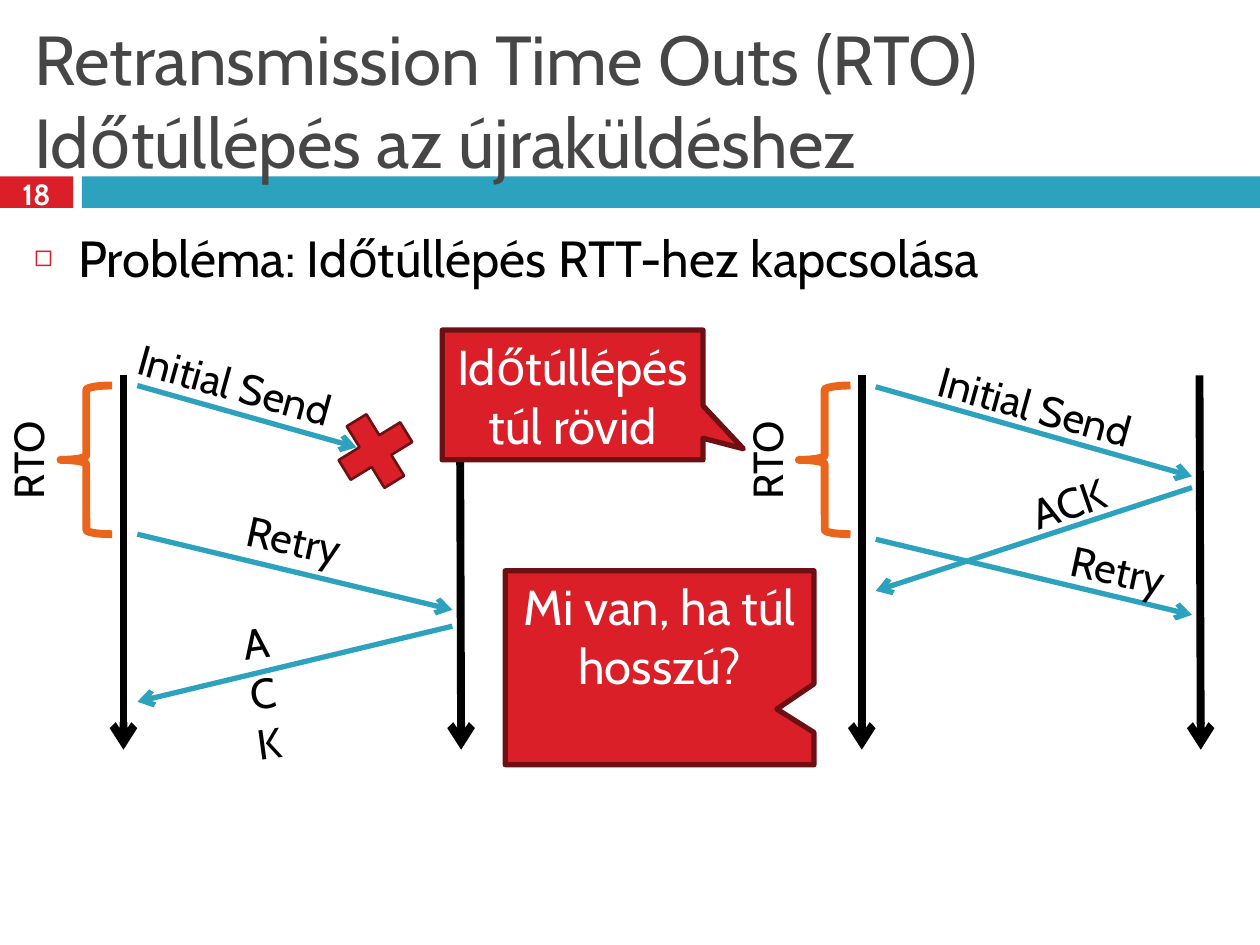
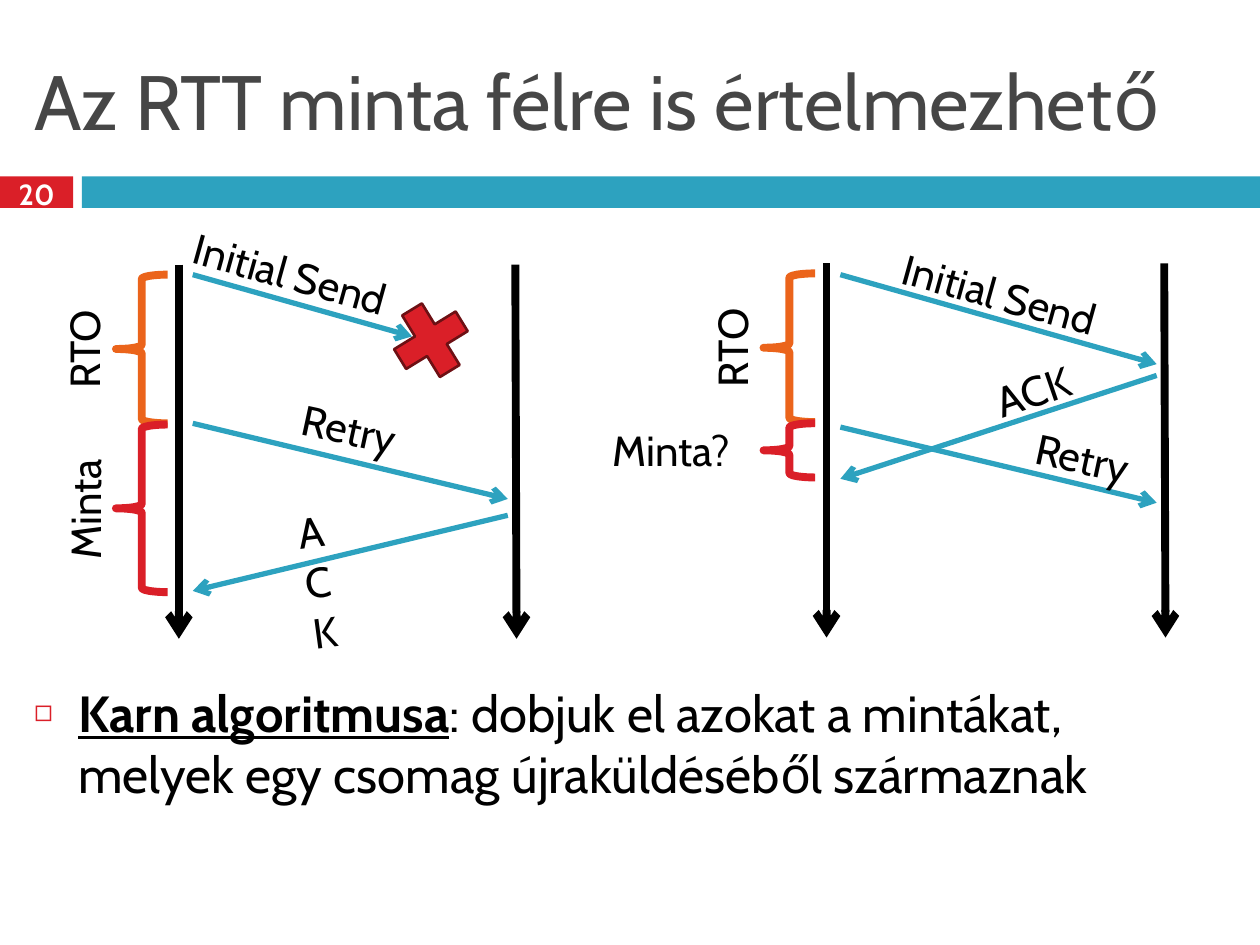
import pptx
import pptx.util
import pptx.dml.color
import pptx.enum.shapes
import pptx.enum.text
import pptx.oxml.ns
from lxml import etree

Inches = pptx.util.Inches
Pt = pptx.util.Pt
RGBColor = pptx.dml.color.RGBColor
MSO_SHAPE = pptx.enum.shapes.MSO_SHAPE
PP_ALIGN = pptx.enum.text.PP_ALIGN
MSO_ANCHOR = pptx.enum.text.MSO_ANCHOR
MSO_AUTO_SIZE = pptx.enum.text.MSO_AUTO_SIZE
qn = pptx.oxml.ns.qn

FONT = "Cabin"
BLACK = RGBColor(0x00, 0x00, 0x00)
WHITE = RGBColor(0xFF, 0xFF, 0xFF)
GREY = RGBColor(0x46, 0x46, 0x46)
RED = RGBColor(0xDA, 0x1F, 0x28)
DARK_RED = RGBColor(0x6D, 0x10, 0x14)
BLUE = RGBColor(0x2D, 0xA2, 0xBF)
ORANGE = RGBColor(0xEB, 0x64, 0x1B)

TIMELINE_LENGTH = 2.97
LABEL_HEIGHT = 0.5

LOST_PACKET = {
    "receiver": 2.67,
    "messages": [
        ("Initial Send", (0.11, 0.08, 1.85, 0.57), (-0.21, -0.18, 2.19), 15.6),
        ("ACK", (2.61, 1.99, 0.11, 2.59), (0.8, 1.87, 0.5), -7.8),
        ("Retry", (0.11, 1.26, 2.61, 1.86), (0.8, 1.05, 1.11), 12.3),
    ],
    "sample": ("Minta", 1.33, (-1.48, 1.69, 1.46), 270),
    "lost": True,
}
EARLY_RETRY = {
    "receiver": 2.68,
    "messages": [
        ("Initial Send", (0.11, 0.09, 2.62, 0.8), (0.28, -0.01, 2.19), 15.6),
        ("ACK", (2.62, 0.89, 0.11, 1.71), (1.06, 0.76, 1.16), -19),
        ("Retry", (0.11, 1.3, 2.62, 1.9), (1.48, 1.29, 1.11), 12.3),
    ],
    "sample": ("Minta?", 0.43, (-2.02, 1.23, 1.58), 0),
    "lost": False,
}
SLIDES = [
    {
        "number": "18",
        "title": ["Retransmission Time Outs (RTO)", "Időtúllépés az újraküldéshez"],
        "title_size": 39.6,
        "body": [("Probléma: Időtúllépés RTT-hez kapcsolása", False)],
        "body_place": (1.75, 1.82),
        "scenarios": [(LOST_PACKET, 0.98, 2.98), (EARLY_RETRY, 6.84, 2.98)],
        "samples": False,
        "callouts": [
            ("Időtúllépés túl rövid", (3.51, 2.62, 2.07, 1.03), (0.655, 0.415)),
            ("Mi van, ha túl hosszú?", (4.01, 4.53, 2.45, 1.54), (0.38, 0.213)),
        ],
    },
    {
        "number": "20",
        "title": ["Az RTT minta félre is értelmezhető"],
        "title_size": 44,
        "body": [
            ("Karn algoritmusa", True),
            (": dobjuk el azokat a mintákat, melyek egy csomag újraküldéséből származnak", False),
        ],
        "body_place": (5.36, 1.97),
        "scenarios": [(LOST_PACKET, 1.42, 2.1), (EARLY_RETRY, 6.56, 2.09)],
        "samples": True,
        "callouts": [],
    },
]


def add_text(shape, words, size, color, bold=False, anchor=MSO_ANCHOR.TOP):
    frame = shape.text_frame
    frame.word_wrap = True
    frame.auto_size = MSO_AUTO_SIZE.NONE
    frame.vertical_anchor = anchor
    paragraph = frame.paragraphs[0]
    paragraph.alignment = PP_ALIGN.CENTER
    run = paragraph.add_run()
    run.text = words
    run.font.name = FONT
    run.font.size = Pt(size)
    run.font.bold = bold
    run.font.color.rgb = color


def add_arrow(slide, start_x, start_y, end_x, end_y, color, width):
    connector = slide.shapes.add_connector(
        pptx.enum.shapes.MSO_CONNECTOR.STRAIGHT,
        Inches(start_x), Inches(start_y), Inches(end_x), Inches(end_y))
    connector.line.color.rgb = color
    connector.line.width = Pt(width)
    properties = connector.element.spPr
    etree.SubElement(properties.find(qn("a:ln")), qn("a:tailEnd"), type="arrow")
    etree.SubElement(properties, qn("a:effectLst"))


presentation = pptx.Presentation()
presentation.slide_width = Inches(10)
presentation.slide_height = Inches(7.5)
layout = presentation.slide_layouts[1]

layout_title = layout.placeholders[0]
layout_title.left, layout_title.top = Inches(0.17), Inches(0.25)
layout_title.width, layout_title.height = Inches(9.67), Inches(1.08)

for index, content in enumerate(SLIDES):
    slide = presentation.slides.add_slide(layout)

    if index == 0:
        for left, width, color in [(0, 0.58, RED), (0.65, 9.35, BLUE)]:
            band = slide.shapes.add_shape(
                MSO_SHAPE.RECTANGLE, Inches(left), Inches(1.4), Inches(width), Inches(0.25))
            band.shadow.inherit = False
            band.fill.solid()
            band.fill.fore_color.rgb = color
            band.line.fill.background()
            layout.shapes.element.append(band.element)

    title_frame = slide.shapes.title.text_frame
    title_frame.auto_size = MSO_AUTO_SIZE.NONE
    title_frame.vertical_anchor = MSO_ANCHOR.MIDDLE
    paragraph = title_frame.paragraphs[0]
    paragraph.alignment = PP_ALIGN.LEFT
    for line_index, words in enumerate(content["title"]):
        if line_index:
            paragraph.add_line_break()
        run = paragraph.add_run()
        run.text = words
        run.font.name = FONT
        run.font.size = Pt(content["title_size"])
        run.font.color.rgb = GREY

    number_box = slide.shapes.add_textbox(Inches(0), Inches(1.37), Inches(0.58), Inches(0.33))
    add_text(number_box, content["number"], 16.6, WHITE, True, MSO_ANCHOR.MIDDLE)

    body = slide.placeholders[1]
    body_top, body_height = content["body_place"]
    body.left, body.top = Inches(0.17), Inches(body_top)
    body.width, body.height = Inches(9.67), Inches(body_height)
    body.text_frame.auto_size = MSO_AUTO_SIZE.NONE
    paragraph = body.text_frame.paragraphs[0]
    paragraph.space_before = Pt(7)
    for words, emphasized in content["body"]:
        run = paragraph.add_run()
        run.text = words
        run.font.name = FONT
        run.font.size = Pt(29)
        run.font.bold = emphasized
        run.font.underline = emphasized
        run.font.color.rgb = BLACK
    properties = paragraph._p.get_or_add_pPr()
    properties.set("marL", str(Inches(0.35)))
    properties.set("indent", str(Inches(-0.35)))
    bullet_color = etree.SubElement(properties, qn("a:buClr"))
    etree.SubElement(bullet_color, qn("a:srgbClr"), val=str(RED))
    etree.SubElement(properties, qn("a:buSzPct"), val="60000")
    etree.SubElement(properties, qn("a:buChar"), char="◻")

    for scenario, left, top in content["scenarios"]:
        receiver = left + scenario["receiver"]
        bottom = top + TIMELINE_LENGTH
        add_arrow(slide, left, top, left, bottom, BLACK, 4.5)
        add_arrow(slide, receiver, top, receiver + 0.01, bottom, BLACK, 4.5)

        labels = [("RTO", (-1.29, 0.42, 1.07), 270)]
        for words, (start_x, start_y, end_x, end_y), place, rotation in scenario["messages"]:
            add_arrow(slide, left + start_x, top + start_y, left + end_x, top + end_y, BLUE, 3)
            labels.append((words, place, rotation))

        braces = [(0.08, 1.18, ORANGE)]
        if content["samples"]:
            words, height, place, rotation = scenario["sample"]
            braces.append((1.27, height, RED))
            labels.append((words, place, rotation))
        for offset, height, color in braces:
            brace = slide.shapes.add_shape(
                MSO_SHAPE.LEFT_BRACE, Inches(left - 0.5), Inches(top + offset),
                Inches(0.41), Inches(height))
            brace.shadow.inherit = False
            brace.fill.background()
            brace.line.color.rgb = color
            brace.line.width = Pt(4.5)

        for words, (offset_x, offset_y, width), rotation in labels:
            label = slide.shapes.add_textbox(
                Inches(left + offset_x), Inches(top + offset_y),
                Inches(width), Inches(LABEL_HEIGHT))
            label.rotation = rotation
            add_text(label, words, 24, BLACK)

        if scenario["lost"]:
            cross = slide.shapes.add_shape(
                MSO_SHAPE.MATH_MULTIPLY, Inches(left + 1.61), Inches(top + 0.21),
                Inches(0.78), Inches(0.78))
            cross.rotation = 13.5
            cross.shadow.inherit = False
            cross.fill.solid()
            cross.fill.fore_color.rgb = RED
            cross.line.color.rgb = DARK_RED
            cross.line.width = Pt(1.5)

    for words, place, tip in content["callouts"]:
        callout = slide.shapes.add_shape(
            MSO_SHAPE.RECTANGULAR_CALLOUT, *[Inches(length) for length in place])
        callout.adjustments[0], callout.adjustments[1] = tip
        callout.shadow.inherit = False
        callout.fill.solid()
        callout.fill.fore_color.rgb = RED
        callout.line.color.rgb = DARK_RED
        callout.line.width = Pt(3)
        add_text(callout, words, 28, WHITE)

presentation.save("out.pptx")
